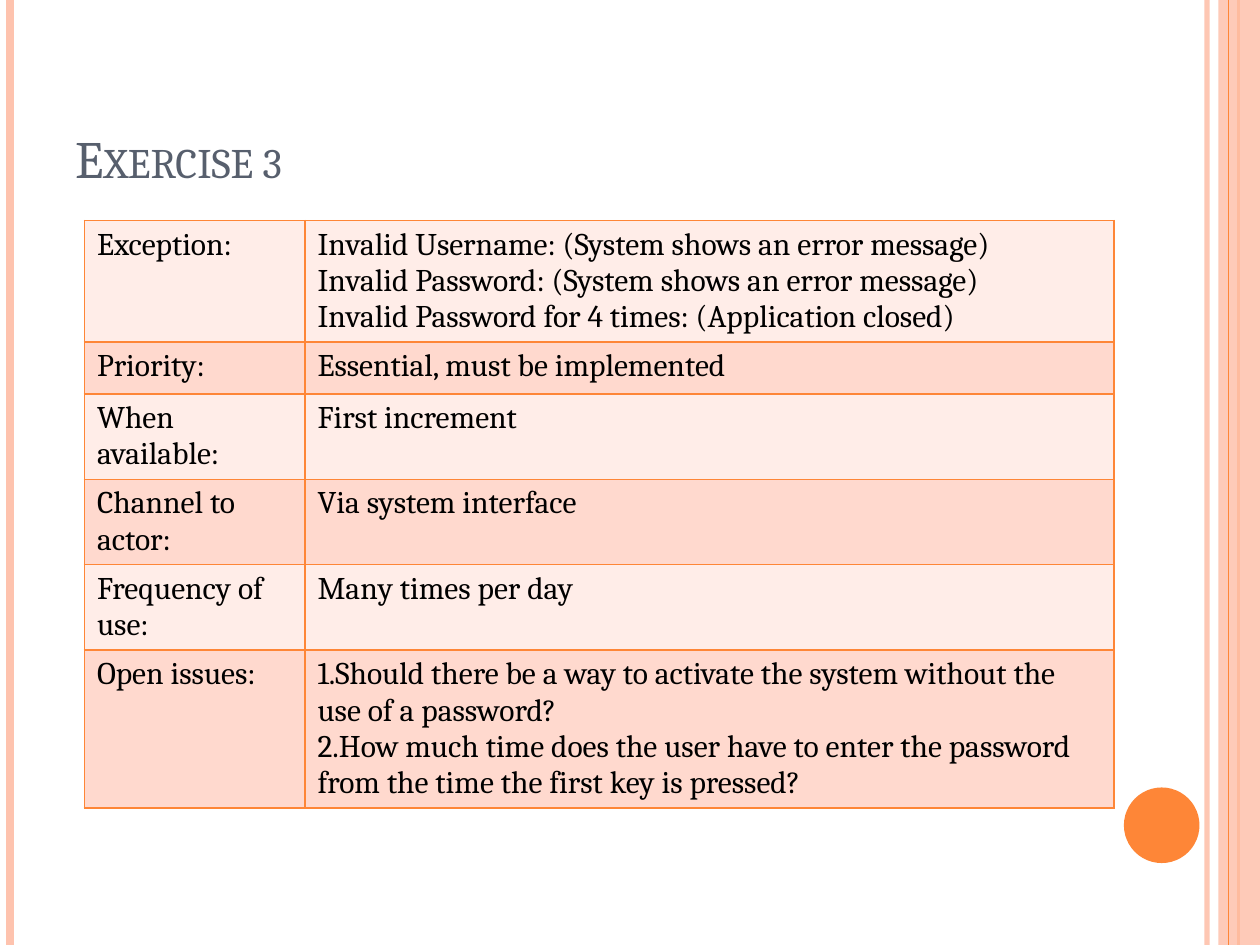
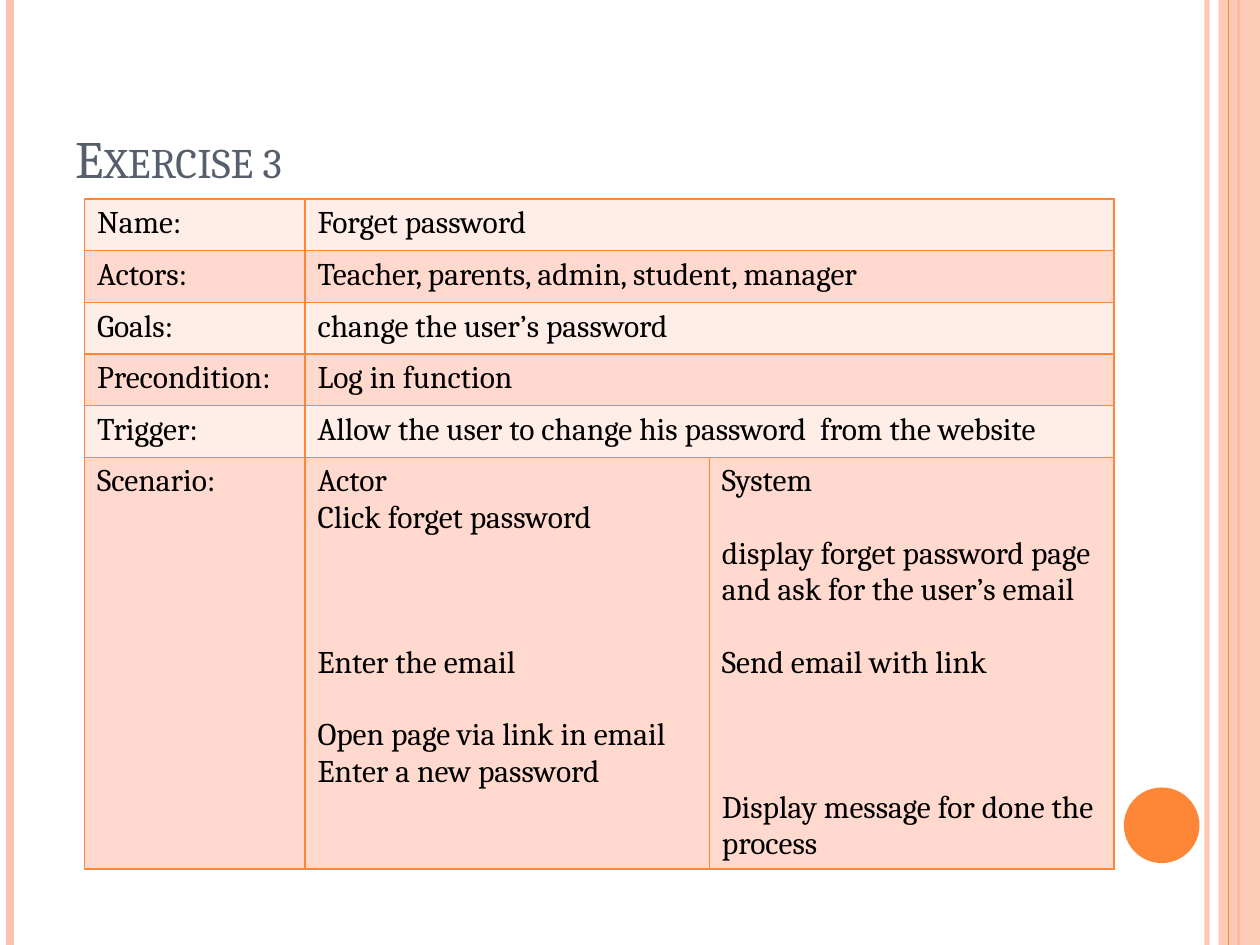
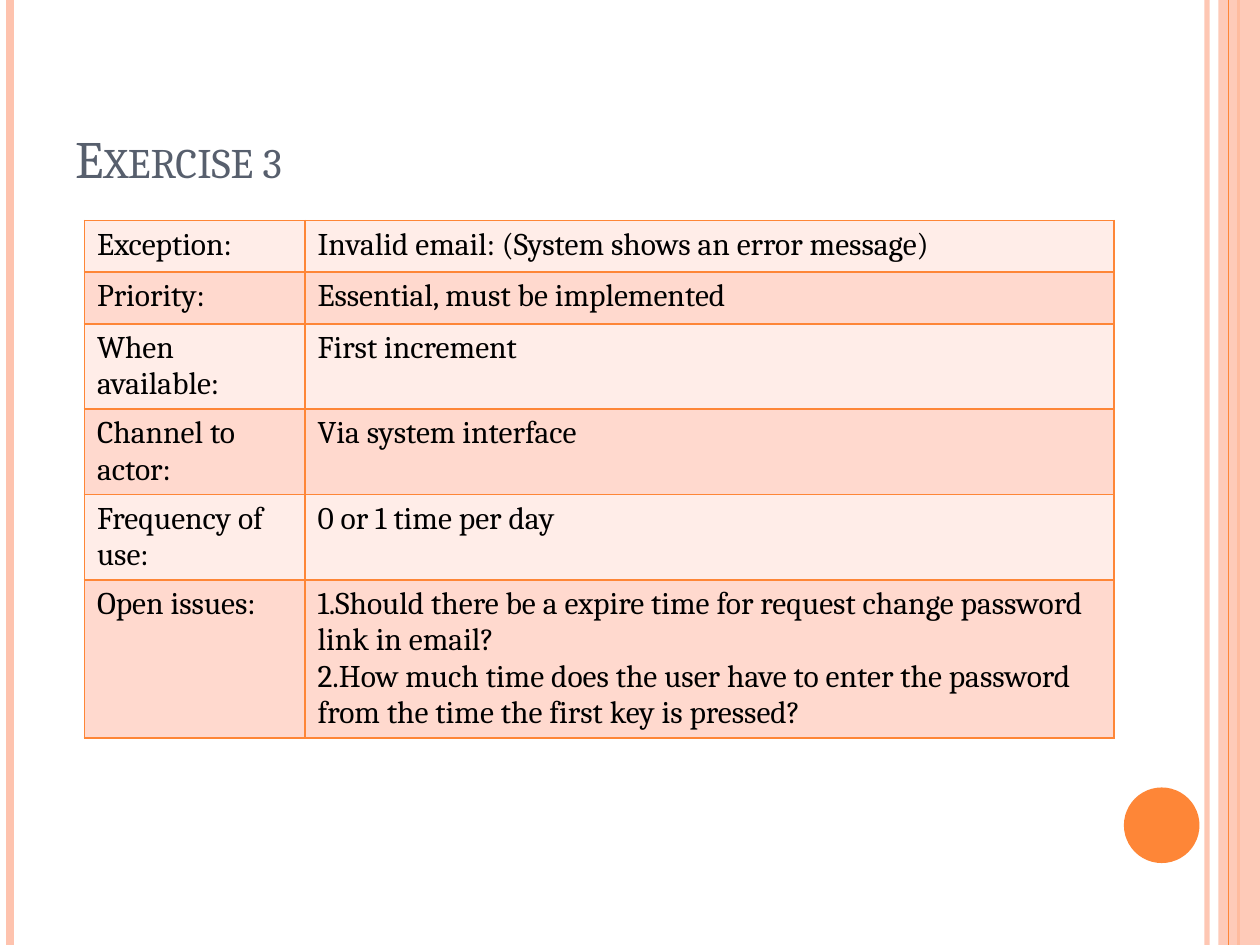
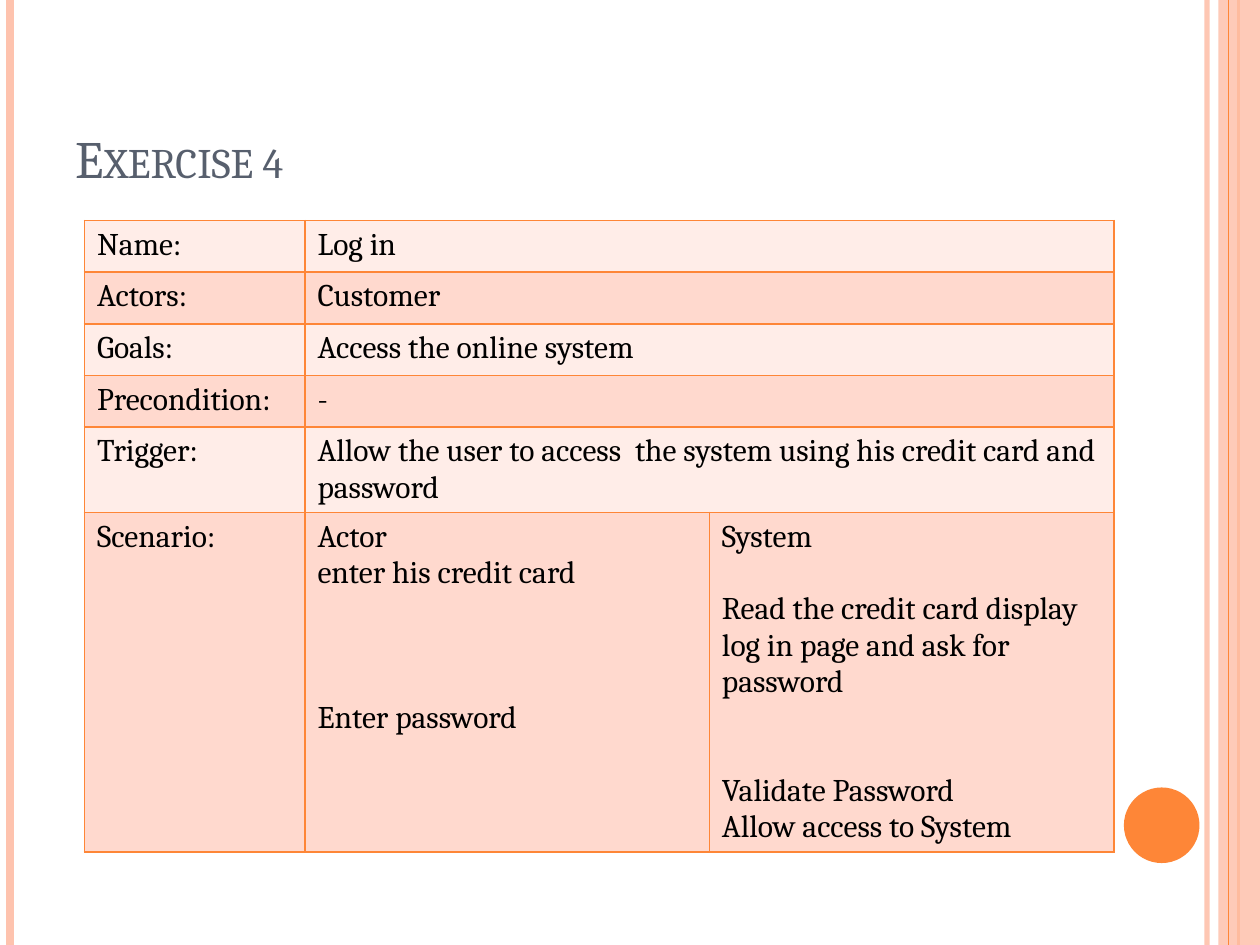
from lxml import etree
from pptx import Presentation
from pptx import util as u
from pptx.dml.color import RGBColor
from pptx.enum import shapes, text
from pptx.oxml import ns

ORANGE = RGBColor(0xFE, 0x86, 0x37)
PEACH = RGBColor(0xFE, 0xC3, 0xAE)
LIGHT_ROW = RGBColor(0xFF, 0xED, 0xE8)
DARK_ROW = RGBColor(0xFF, 0xD9, 0xCE)
SLATE = RGBColor(0x57, 0x5F, 0x6D)
BLACK = RGBColor(0, 0, 0)
FONT = "Cambria"
LINE_HEIGHT = 20.7
ROW_HEIGHT = 0.41
TITLE_BOX = (0.5, 0.3, 8.17, 1.25)
TWO_COLUMNS = (1.75, 6.42)
THREE_COLUMNS = (1.75, 3.21, 3.21)

DETAIL_LABELS = ("Exception:", "Priority:", "When available:",
                 "Channel to actor:", "Frequency of use:", "Open issues:")
SUMMARY_LABELS = ("Name:", "Actors:", "Goals:", "Precondition:", "Trigger:", "Scenario:")
KEY_PRESS_ISSUE = ("2.How much time does the user have to enter the password "
                   "from the time the first key is pressed?")


def write_text(frame, lines, size=18, color=BLACK, small_caps=False):
    """Write lines as paragraphs; a (text, gap) pair leaves gap empty lines above it."""
    for index, line in enumerate(lines):
        content, gap = (line, 0) if isinstance(line, str) else line
        paragraph = frame.paragraphs[0] if index == 0 else frame.add_paragraph()
        paragraph.alignment = text.PP_ALIGN.LEFT
        if gap:
            paragraph.space_before = u.Pt(LINE_HEIGHT * gap)
        run = paragraph.add_run()
        run.text = content
        run.font.name = FONT
        run.font.size = u.Pt(size)
        run.font.color.rgb = color
        if small_caps:
            run.font._element.set("cap", "small")


def set_opacity(element, percent):
    """Make the first solid colour of an element partly transparent."""
    color = element.find(".//" + ns.qn("a:srgbClr"))
    etree.SubElement(color, ns.qn("a:alpha"), val=str(percent * 1000))


def add_stripe(slide, x, color, width, height):
    """Draw a vertical line down the whole slide."""
    stripe = slide.shapes.add_connector(
        shapes.MSO_CONNECTOR.STRAIGHT, u.Inches(x), 0, u.Inches(x), height)
    stripe.line.color.rgb = color
    stripe.line.width = u.Pt(width)
    etree.SubElement(stripe.element.spPr, ns.qn("a:effectLst"))
    return stripe


def add_filled(slide, preset, box, color):
    """Draw a filled shape without outline or shadow."""
    shape = slide.shapes.add_shape(preset, *map(u.Inches, box))
    shape.shadow.inherit = False
    shape.fill.solid()
    shape.fill.fore_color.rgb = color
    shape.line.fill.background()
    return shape


def decorate_layout(slide, height):
    """Draw the stripes, side band and disc, and move them to the slide's layout."""
    pale_stripe = add_stripe(slide, 9.58, PEACH, 3, height)
    set_opacity(pale_stripe.element, 93)
    left_stripe = add_stripe(slide, 0.08, PEACH, 4.5, height)
    bold_stripe = add_stripe(slide, 9.83, ORANGE, 1.5, height)
    band = add_filled(slide, shapes.MSO_SHAPE.RECTANGLE, (9.67, 0, 0.33, 7.5), PEACH)
    set_opacity(band.element, 87)
    thin_stripe = add_stripe(slide, 9.75, ORANGE, 0.75, height)
    disc = add_filled(slide, shapes.MSO_SHAPE.OVAL, (8.92, 6.25, 0.6, 0.6), ORANGE)
    parts = (pale_stripe, left_stripe, bold_stripe, band, thin_stripe, disc)
    for index, part in enumerate(parts):
        part.element.find(".//" + ns.qn("p:cNvPr")).set("id", str(100 + index))
        slide.slide_layout.shapes.element.insert(2 + index, part.element)


def format_title(slide, box, title_text):
    """Place the title and set it in small capitals."""
    title = slide.shapes.title
    title.left, title.top, title.width, title.height = map(u.Inches, box)
    title.text_frame.vertical_anchor = text.MSO_ANCHOR.BOTTOM
    write_text(title.text_frame, [title_text], size=30, color=SLATE, small_caps=True)


def format_cell(cell, color):
    """Fill a cell and give it an orange border on every side."""
    cell.fill.solid()
    cell.fill.fore_color.rgb = color
    properties = cell._tc.get_or_add_tcPr()
    for index, side in enumerate("LRTB"):
        border = etree.Element(ns.qn("a:ln" + side), w=str(u.Pt(1)))
        fill = etree.SubElement(border, ns.qn("a:solidFill"))
        etree.SubElement(fill, ns.qn("a:srgbClr"), val=str(ORANGE))
        properties.insert(index, border)


def add_use_case_table(slide, box, columns, labels, rows):
    """Add a table of labelled rows; a row with one value spans the remaining columns."""
    frame = slide.shapes.add_table(len(rows), len(columns), *map(u.Inches, box))
    table = frame.table
    table.first_row = table.horz_banding = False
    for column, width in zip(table.columns, columns):
        column.width = u.Inches(width)
    for index, (label, values) in enumerate(zip(labels, rows)):
        table.rows[index].height = u.Inches(ROW_HEIGHT)
        cells = list(table.rows[index].cells)
        for cell in cells:
            format_cell(cell, DARK_ROW if index % 2 else LIGHT_ROW)
        if len(values) + 1 < len(cells):
            cells[1].merge(cells[-1])
        for cell, lines in zip(cells, [[label], *values]):
            write_text(cell.text_frame, lines)
    frame.height = u.Inches(box[3])


def detail_rows(exceptions, frequency, first_issue):
    """Return the rows that describe exceptions, availability and open issues."""
    values = (exceptions, ["Essential, must be implemented"], ["First increment"],
              ["Via system interface"], [frequency], [first_issue, KEY_PRESS_ISSUE])
    return [[lines] for lines in values]


def summary_rows(summary, actor_steps, system_steps):
    """Return the single-value rows followed by the actor and system scenario."""
    return [[[value]] for value in summary] + [
        [["Actor", *actor_steps], ["System", *system_steps]]]


SLIDES = (
    ("Exercise 3", (0.67, 1.75, 8.17, 4.81), TWO_COLUMNS, DETAIL_LABELS, detail_rows(
        ["Invalid Username: (System shows an error message)",
         "Invalid Password: (System shows an error message)",
         "Invalid Password for 4 times: (Application closed)"],
        "Many times per day",
        "1.Should there be a way to activate the system without the use of a password?")),
    ("Exercise 3", (0.67, 1.58, 8.17, 5.3), THREE_COLUMNS, SUMMARY_LABELS, summary_rows(
        ["Forget password", "Teacher, parents, admin, student, manager",
         "change the user’s password", "Log in function",
         "Allow the user to change his password  from the website"],
        ["Click forget password", ("Enter the email", 3),
         ("Open page via link in email", 1), "Enter a new password"],
        [("display forget password page and ask for the user’s email", 1),
         ("Send email with link", 1), ("Display message for done the process", 3)])),
    ("Exercise 3", (0.67, 1.75, 8.17, 4.21), TWO_COLUMNS, DETAIL_LABELS, detail_rows(
        ["Invalid email: (System shows an error message)"],
        "0 or 1 time per day",
        "1.Should there be a expire time for request change password link in email?")),
    ("Exercise 4", (0.67, 1.75, 8.17, 5.12), THREE_COLUMNS, SUMMARY_LABELS, summary_rows(
        ["Log in", "Customer", "Access the online system", "-",
         "Allow the user to access  the system using his credit card and password"],
        ["enter his credit card", ("Enter password", 3)],
        [("Read the credit card display log in page and ask for password", 1),
         ("Validate Password", 2), "Allow access to System"])),
)


def main():
    """Build the slides and save the presentation."""
    presentation = Presentation()
    presentation.slide_width = u.Inches(10)
    presentation.slide_height = u.Inches(7.5)
    layout = presentation.slide_layouts.get_by_name("Title Only")
    for index, (title_text, box, columns, labels, rows) in enumerate(SLIDES):
        slide = presentation.slides.add_slide(layout)
        if index == 0:
            decorate_layout(slide, presentation.slide_height)
        format_title(slide, TITLE_BOX, title_text)
        add_use_case_table(slide, box, columns, labels, rows)
    presentation.save("out.pptx")


if __name__ == "__main__":
    main()
